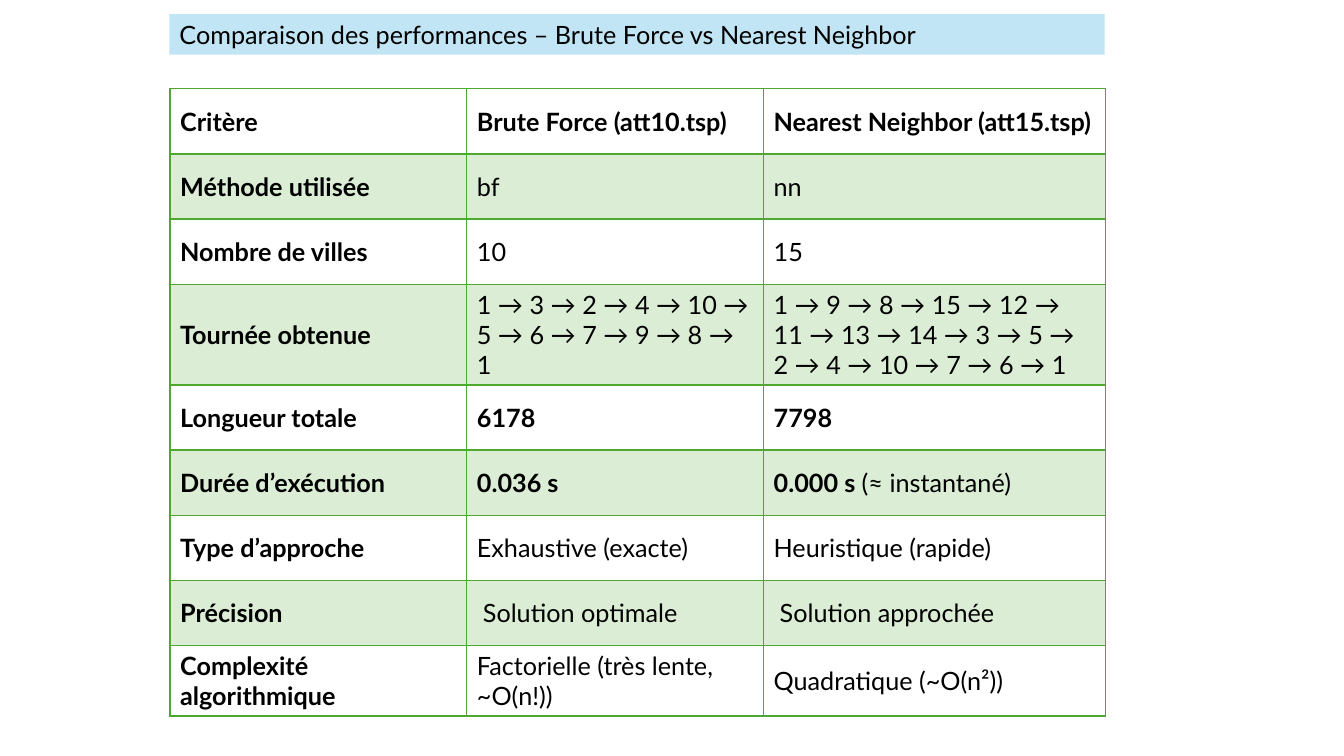
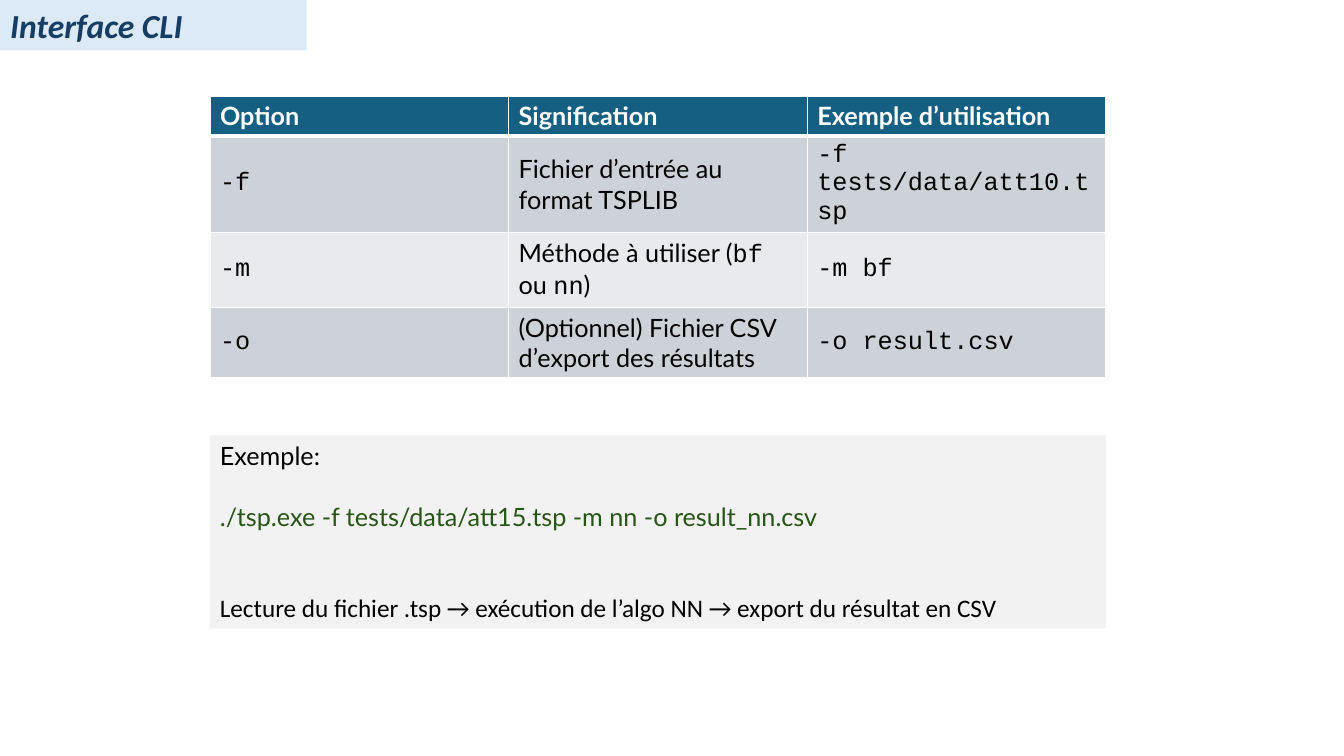
"""Build two slides: an algorithm comparison table and a command-line option guide."""
from lxml.etree import SubElement
from pptx import Presentation
from pptx.dml.color import RGBColor
from pptx.enum.shapes import MSO_SHAPE
from pptx.enum.text import MSO_ANCHOR, MSO_AUTO_SIZE, PP_ALIGN
from pptx.oxml.ns import qn
from pptx.util import Pt

BLACK, WHITE = "000000", "FFFFFF"
GREEN, PALE_GREEN, DARK_GREEN = "4EA72E", "DCEDD5", "275417"
SKY, PALE_BLUE, NAVY, TEAL = "C1E5F5", "DCEAF7", "163E64", "156082"
GREY_BLUE, LIGHT_GREY_BLUE, LIGHT_GREY = "CCD2D8", "E8EAED", "F2F2F2"
BODY_FONT, SECOND_FONT, CODE_FONT = "Lato", "Calibri", "Courier New"


def color(value):
    return RGBColor.from_string(value)


def format_span(span, font, size, text_color, bold=False, italic=False):
    span.font.name = font
    span.font.size = Pt(size)
    span.font.color.rgb = color(text_color)
    span.font.bold = bold
    span.font.italic = italic


deck = Presentation()
deck.slide_width, deck.slide_height = Pt(960), Pt(540)

titles = [
    ("Comparaison des performances – Brute Force vs Nearest Neighbor",
     (121, 10, 668, 29), SKY, (BODY_FONT, 18, BLACK)),
    ("Interface CLI", (0, 0, 219, 36), PALE_BLUE, (SECOND_FONT, 24, NAVY, True, True)),
]
for text, bounds, fill, style in titles:
    page = deck.slides.add_slide(deck.slide_layouts[5])
    title = page.shapes.title
    title.left, title.top, title.width, title.height = map(Pt, bounds)
    title.fill.solid()
    title.fill.fore_color.rgb = color(fill)
    frame = title.text_frame
    frame.text = text
    frame.word_wrap = True
    frame.auto_size = MSO_AUTO_SIZE.NONE
    frame.vertical_anchor = MSO_ANCHOR.MIDDLE
    para = frame.paragraphs[0]
    para.alignment = PP_ALIGN.LEFT
    format_span(para.runs[0], *style)

# Text between bars is emphasised: bold in the comparison, code font in the options.
comparison_rows = [
    ("|Critère|", "|Brute Force (att10.tsp)|", "|Nearest Neighbor (att15.tsp)|"),
    ("|Méthode utilisée|", "bf", "nn"),
    ("|Nombre de villes|", "10", "15"),
    ("|Tournée obtenue|", "1 → 3 → 2 → 4 → 10 → 5 → 6 → 7 → 9 → 8 → 1",
     "1 → 9 → 8 → 15 → 12 → 11 → 13 → 14 → 3 → 5 → 2 → 4 → 10 → 7 → 6 → 1"),
    ("|Longueur totale|", "|6178|", "|7798|"),
    ("|Durée d’exécution|", "|0.036 s|", "|0.000 s| (≈ instantané)"),
    ("|Type d’approche|", "Exhaustive (exacte)", "Heuristique (rapide)"),
    ("|Précision|", "Solution optimale", "Solution approchée"),
    ("|Complexité algorithmique|", "Factorielle (très lente, ~O(n!))", "Quadratique (~O(n²))"),
]
option_rows = [
    ("Option", "Signification", "Exemple d’utilisation"),
    ("|-f|", "Fichier d’entrée au format TSPLIB", "|-f tests/data/att10.tsp|"),
    ("|-m|", "Méthode à utiliser (|bf| ou |nn|)", "|-m bf|"),
    ("|-o|", "(Optionnel) Fichier CSV d’export des résultats", "|-o result.csv|"),
]
tables = [
    dict(rows=comparison_rows, left=121.5, top=63.5, widths=[212, 212, 244],
         heights=[46.5] * 3 + [72] + [46.5] * 4 + [50.5], header=(WHITE, BLACK),
         bands=[PALE_GREEN, WHITE], border=GREEN, rule=2, emphasis_font=BODY_FONT),
    dict(rows=option_rows, left=150, top=68.5, widths=[213.3] * 3,
         heights=[28.8, 68.5, 53, 50.5], header=(TEAL, WHITE),
         bands=[GREY_BLUE, LIGHT_GREY_BLUE], border=WHITE, rule=3, emphasis_font=CODE_FONT),
]
for page, design in zip(deck.slides, tables):
    rows, widths, heights = design["rows"], design["widths"], design["heights"]
    header_fill, header_color = design["header"]
    table = page.shapes.add_table(
        len(rows), len(widths), Pt(design["left"]), Pt(design["top"]),
        Pt(sum(widths)), Pt(sum(heights))).table
    table.horz_banding = False
    for column, width in zip(table.columns, widths):
        column.width = Pt(width)
    for row_index, (row, height) in enumerate(zip(rows, heights)):
        table.rows[row_index].height = Pt(height)
        is_header = row_index == 0
        fill = header_fill if is_header else design["bands"][(row_index - 1) % 2]
        text_color = header_color if is_header else BLACK
        for column_index, text in enumerate(row):
            cell = table.cell(row_index, column_index)
            cell.vertical_anchor = MSO_ANCHOR.MIDDLE
            if text.startswith("Solution"):
                cell.margin_left = Pt(11.5)
            para = cell.text_frame.paragraphs[0]
            for piece_index, piece in enumerate(text.split("|")):
                if piece:
                    emphasised = piece_index % 2 == 1
                    font = design["emphasis_font"] if emphasised else BODY_FONT
                    bold = is_header or (emphasised and font == BODY_FONT)
                    span = para.add_run()
                    span.text = piece
                    format_span(span, font, 18, text_color, bold)
            properties = cell._tc.get_or_add_tcPr()
            for side in ("lnL", "lnR", "lnT", "lnB"):
                under_header = (row_index, side) in ((0, "lnB"), (1, "lnT"))
                line = SubElement(properties, qn(f"a:{side}"),
                                  w=str(Pt(design["rule"] if under_header else 1)))
                line_fill = SubElement(line, qn("a:solidFill"))
                SubElement(line_fill, qn("a:srgbClr"), val=design["border"])
            cell.fill.solid()
            cell.fill.fore_color.rgb = color(fill)

box = deck.slides[1].shapes.add_shape(
    MSO_SHAPE.RECTANGLE, Pt(150), Pt(311), Pt(640), Pt(138))
box.shadow.inherit = False
box.fill.solid()
box.fill.fore_color.rgb = color(LIGHT_GREY)
box.line.fill.background()
frame = box.text_frame
frame.word_wrap = True
frame.vertical_anchor = MSO_ANCHOR.TOP
example_lines = [
    ("Exemple:", BODY_FONT, BLACK, 0),
    ("./tsp.exe -f tests/data/att15.tsp -m nn -o result_nn.csv", BODY_FONT, DARK_GREEN, 22),
    ("Lecture du fichier .tsp → exécution de l’algo NN → export du résultat en CSV",
     SECOND_FONT, BLACK, 43.5),
]
frame.text = "\n".join(line[0] for line in example_lines)
for para, (text, font, text_color, gap) in zip(frame.paragraphs, example_lines):
    para.alignment = PP_ALIGN.LEFT
    if gap:
        para.space_before = Pt(gap)
    format_span(para.runs[0], font, 18, text_color)

deck.save("out.pptx")
